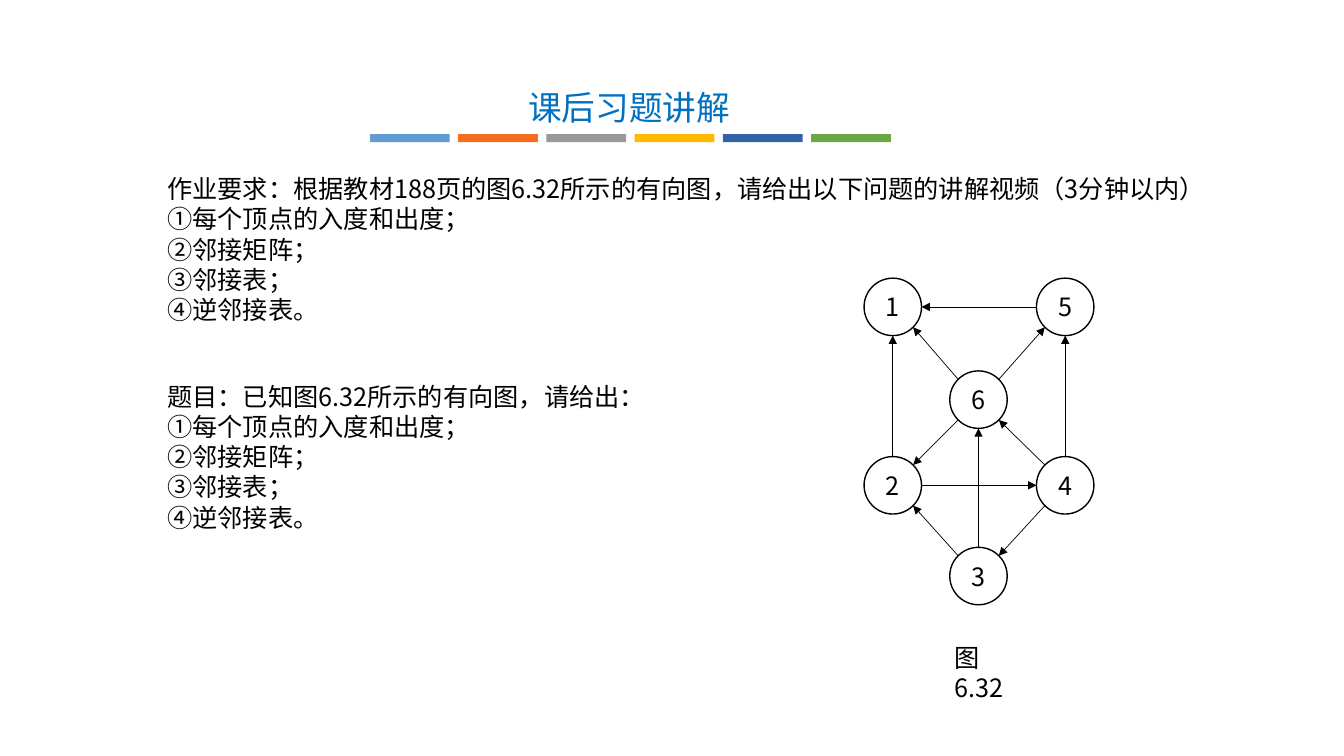
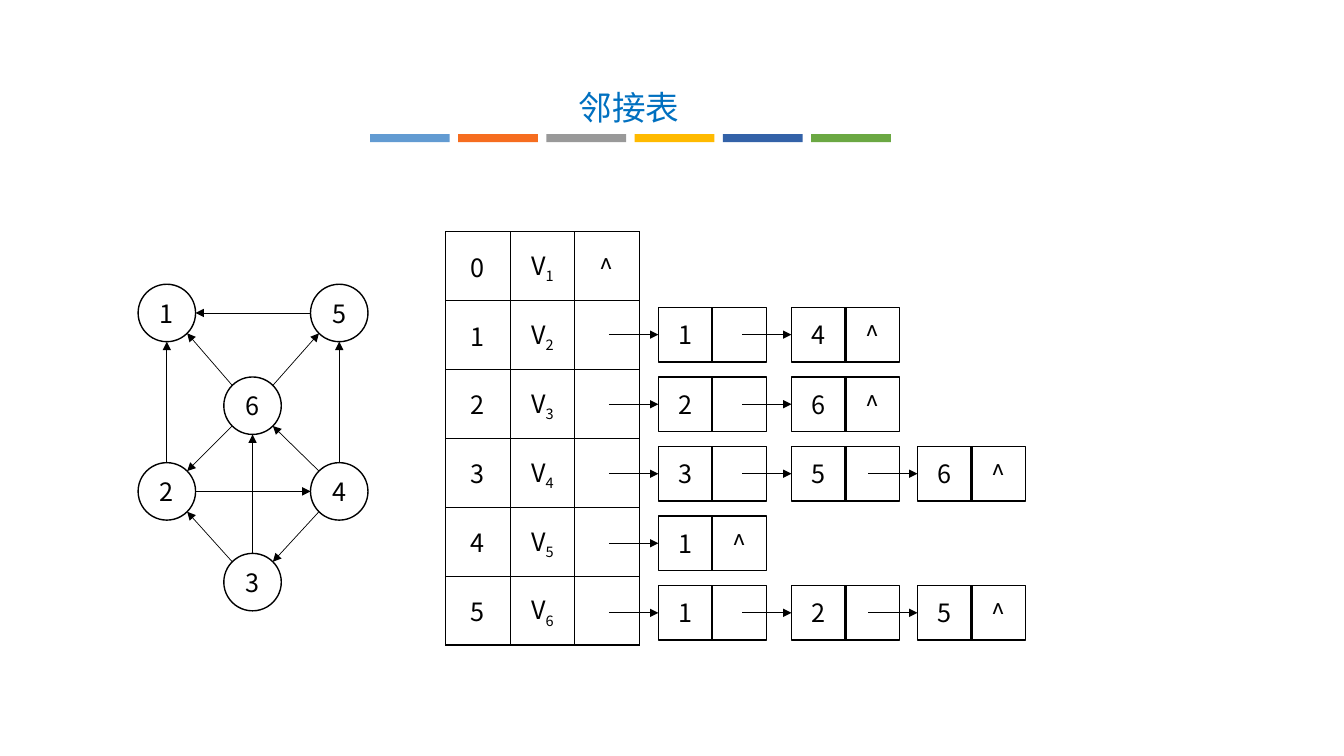
from dataclasses import dataclass
from math import hypot

from lxml.etree import SubElement
from pptx import Presentation
from pptx.dml.color import RGBColor as RGB
from pptx.enum.shapes import MSO_CONNECTOR as CONN, MSO_SHAPE as SHAPE
from pptx.enum.text import MSO_ANCHOR as ANCHOR, MSO_AUTO_SIZE as AUTO, PP_ALIGN as ALIGN
from pptx.oxml.ns import qn
from pptx.util import Inches, Pt


@dataclass(frozen=True)
class Theme:
    ink: str = "000000"
    title: str = "0070C0"
    bars: tuple = ("629BD2", "F66D1F", "999999", "FFBA00", "3362A8", "6BA843")
    font: str = "Noto Sans CJK SC"
    alt_font: str = "Noto Sans CJK JP"
    title_pt: float = 24
    text_pt: float = 18
    leading_pt: float = 21.6
    outline_pt: float = 1
    arrow_pt: float = 0.5


T = Theme()
TITLE_BOX = (3.65, 0.81, 5.18, 0.5)
DIAMETER, CELL = 0.57, 0.54

# Top-left corner of each vertex inside the graph's box
VERTICES = {1: (0, 0), 5: (1.71, 0), 2: (0, 1.77), 4: (1.71, 1.77), 6: (0.85, 0.92), 3: (0.85, 2.67)}
EDGES = [(4, 3), (3, 2), (2, 1), (4, 5), (5, 1), (4, 6), (6, 5), (6, 2), (6, 1), (2, 4), (3, 6)]
QUESTIONS = ["①每个顶点的入度和出度；", "②邻接矩阵；", "③邻接表；", "④逆邻接表。"]


def set_all(obj, **values):
    for name, value in values.items():
        setattr(obj, name, value)


def place(sp, x, y, w, h):
    set_all(sp, left=Inches(x), top=Inches(y), width=Inches(w), height=Inches(h))


def add_run(p, text, font=T.font, size=T.text_pt, color=T.ink, baseline=0):
    r = p.add_run()
    r.text = text
    set_all(r.font, name=font, size=Pt(size))
    r.font.color.rgb = RGB.from_string(color)
    rPr = r.font._element
    SubElement(rPr, qn("a:ea")).set("typeface", font)
    if baseline:
        rPr.set("baseline", str(baseline * 1000))


def add_outline(slide, kind, x, y, size, text="", font=T.font):
    sp = slide.shapes.add_shape(kind, *map(Inches, (x, y, size, size)))
    sp.shadow.inherit = False
    sp.fill.background()
    sp.line.color.rgb = RGB.from_string(T.ink)
    sp.line.width = Pt(T.outline_pt)
    if text:
        tf = sp.text_frame
        set_all(tf, margin_left=0, margin_right=0, margin_top=0, margin_bottom=0,
                vertical_anchor=ANCHOR.MIDDLE)
        p = tf.paragraphs[0]
        p.alignment = ALIGN.CENTER
        add_run(p, text, font)
    return sp


def add_arrow(slide, x1, y1, x2, y2):
    arrow = slide.shapes.add_connector(CONN.STRAIGHT, *map(Inches, (x1, y1, x2, y2)))
    arrow.line.color.rgb = RGB.from_string(T.ink)
    arrow.line.width = Pt(T.arrow_pt)
    SubElement(arrow.line._get_or_add_ln(), qn("a:tailEnd")).set("type", "triangle")
    SubElement(arrow.element.spPr, qn("a:effectLst"))
    return arrow


def fill_lines(tf, lines):
    """Write (text, font) lines as plain, unbulleted paragraphs."""
    set_all(tf, word_wrap=True, auto_size=AUTO.NONE, vertical_anchor=ANCHOR.TOP)
    for i, (text, font) in enumerate(lines):
        p = tf.add_paragraph() if i else tf.paragraphs[0]
        set_all(p, alignment=ALIGN.LEFT, line_spacing=Pt(T.leading_pt),
                space_before=Pt(0), space_after=Pt(0))
        pPr = p._p.get_or_add_pPr()
        pPr.set("marL", "0")
        pPr.set("indent", "0")
        SubElement(pPr, qn("a:buNone"))
        add_run(p, text, font)


def style_master(prs, slide):
    """Set the shared title box and move the colour bars onto the master."""
    master = prs.slide_master
    title = next(sp for sp in master.placeholders if sp.placeholder_format.type == 1)
    place(title, *TITLE_BOX)
    group = slide.shapes.add_group_shape()
    for i, color in enumerate(T.bars):
        bar = group.shapes.add_shape(SHAPE.RECTANGLE, *map(Inches, (3.67 + 0.875 * i, 1.33, 0.79, 0.08)))
        bar.shadow.inherit = False
        bar.fill.solid()
        bar.fill.fore_color.rgb = RGB.from_string(color)
        bar.line.fill.background()
    for i, props in enumerate(group.element.xpath(".//p:cNvPr")):
        props.set("id", str(100 + i))
    master.shapes.element.append(group.element)


def add_titled_slide(prs, layout, title):
    slide = prs.slides.add_slide(prs.slide_layouts.get_by_name(layout))
    place(slide.shapes.title, *TITLE_BOX)
    tf = slide.shapes.title.text_frame
    set_all(tf, vertical_anchor=ANCHOR.MIDDLE, auto_size=AUTO.NONE)
    p = tf.paragraphs[0]
    p.alignment = ALIGN.CENTER
    add_run(p, title, T.alt_font, T.title_pt, T.title)
    return slide


def add_graph(slide, x, y):
    """Draw the directed graph with its box's top-left corner at x, y."""
    r = DIAMETER / 2
    for n, (vx, vy) in VERTICES.items():
        add_outline(slide, SHAPE.OVAL, x + vx, y + vy, DIAMETER, str(n))
    for start, end in EDGES:
        (ax, ay), (bx, by) = VERTICES[start], VERTICES[end]
        # Edges leave and meet circles at the nearest of eight compass points
        sx, sy = (bx > ax) - (bx < ax), (by > ay) - (by < ay)
        ox, oy = (r * s / hypot(sx, sy) for s in (sx, sy))
        cx, cy = x + r, y + r
        add_arrow(slide, cx + ax + ox, cy + ay + oy, cx + bx - ox, cy + by - oy)


def add_vertex_table(slide, x, y, w, h, neighbours):
    frame = slide.shapes.add_table(len(neighbours), 3, *map(Inches, (x, y, w, h)))
    table = frame.table
    set_all(table, first_row=False, horz_banding=False)
    for i, (vertex, ends) in enumerate(neighbours.items()):
        texts = [[(str(i), 0)], [("V", 0), (str(vertex), -25)], [] if ends else [("^", 0)]]
        for j, runs in enumerate(texts):
            cell = table.cell(i, j)
            cell.vertical_anchor = ANCHOR.MIDDLE
            tcPr = cell._tc.get_or_add_tcPr()
            for side in ("lnL", "lnR", "lnT", "lnB"):
                ln = SubElement(tcPr, qn(f"a:{side}"), w=str(Pt(T.outline_pt)))
                SubElement(SubElement(ln, qn("a:solidFill")), qn("a:srgbClr")).set("val", T.ink)
            cell.fill.background()
            p = cell.text_frame.paragraphs[0]
            p.alignment = ALIGN.CENTER
            for text, baseline in runs:
                add_run(p, text, baseline=baseline)


def add_chains(slide, x, y, neighbours):
    """Draw one linked list per table row; x, y is the corner of the second row's first node."""
    columns, pitch, reach = (0, 1.32, 2.57), 0.69, 0.49
    for row, ends in enumerate(neighbours.values()):
        top = y + pitch * (row - 1)
        for dx, end in zip(columns, ends):
            left = x + dx
            node = add_outline(slide, SHAPE.RECTANGLE, left, top, CELL, str(end), T.alt_font)
            add_outline(slide, SHAPE.RECTANGLE, left + CELL - 0.01, top, CELL,
                        "^" if end == ends[-1] else "", T.alt_font)
            middle = top + CELL / 2
            add_arrow(slide, left - reach, middle, left, middle).end_connect(node, 1)


def build_exercise(prs):
    slide = add_titled_slide(prs, "Two Content", "课后习题讲解")
    intro = "作业要求：根据教材188页的图6.32所示的有向图，请给出以下问题的讲解视频（3分钟以内）"
    task = "题目：已知图6.32所示的有向图，请给出："
    blocks = [(1, intro, (1.56, 1.67, 10.53, 1.92)), (2, task, (1.56, 3.73, 4.95, 1.62))]
    for idx, heading, box in blocks:
        body = slide.placeholders[idx]
        place(body, *box)
        fill_lines(body.text_frame, [(heading, T.font)] + [(q, T.alt_font) for q in QUESTIONS])
    add_graph(slide, 8.57, 2.76)
    caption = slide.shapes.add_textbox(*map(Inches, (9.37, 6.32, 0.91, 0.7)))
    fill_lines(caption.text_frame, [("图6.32", T.font)])
    return slide


def build_adjacency_list(prs):
    slide = add_titled_slide(prs, "Title Only", "邻接表")
    neighbours = {v: sorted(b for a, b in EDGES if a == v) for v in sorted(VERTICES)}
    add_vertex_table(slide, 4.42, 2.3, 1.92, 4.1, neighbours)
    add_chains(slide, 6.53, 3.05, neighbours)
    add_graph(slide, 1.37, 2.82)


def main():
    prs = Presentation()
    set_all(prs, slide_width=Inches(13.33), slide_height=Inches(7.5))
    style_master(prs, build_exercise(prs))
    build_adjacency_list(prs)
    prs.save("out.pptx")


if __name__ == "__main__":
    main()
